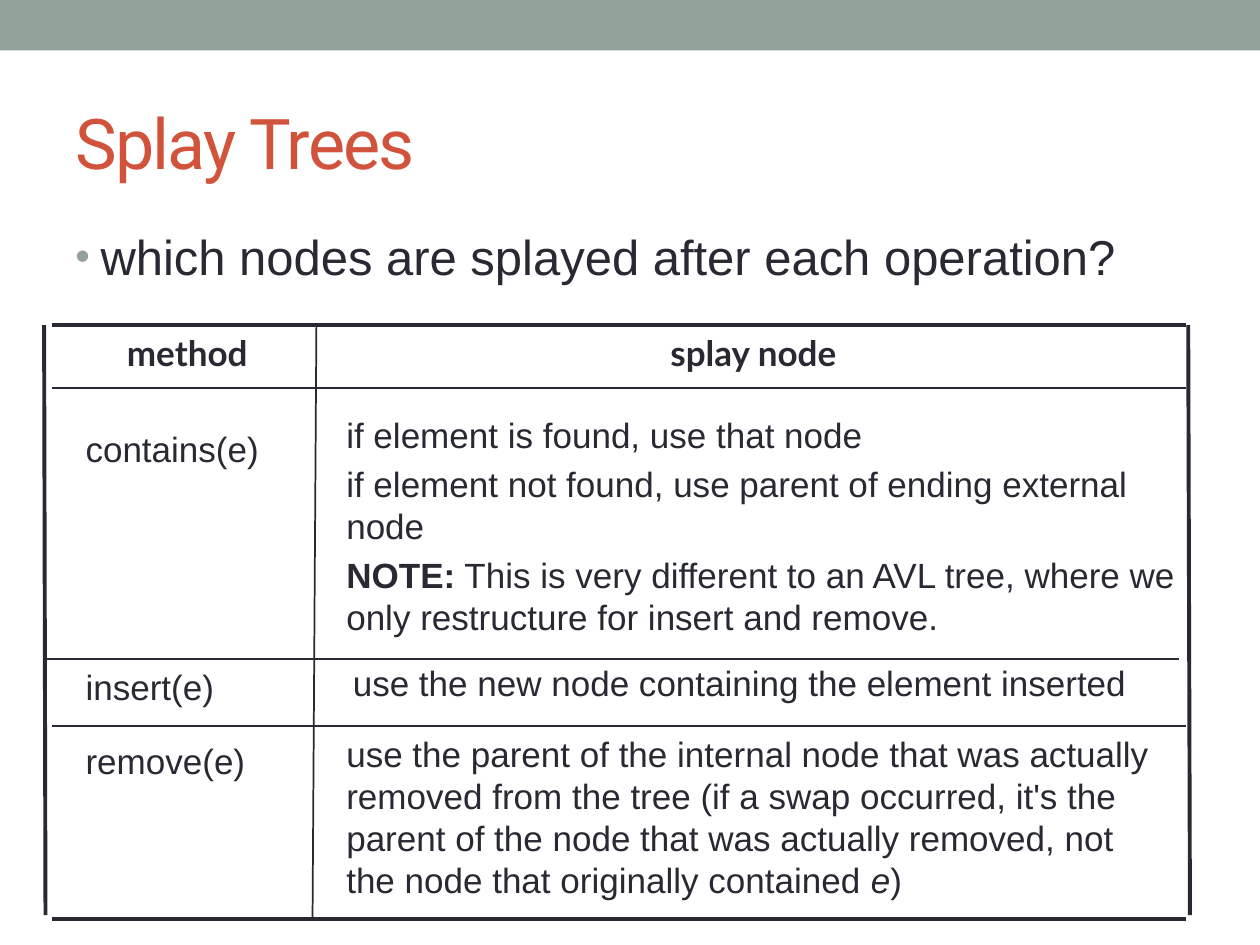
from lxml import etree
from pptx import Presentation
from pptx.dml.color import RGBColor
from pptx.enum import shapes, text
from pptx.oxml.ns import qn
from pptx.util import Pt

COLORS = {"ink": "292934", "sage": "93A299", "title": "D2533C"}
LEFT, CENTER = text.PP_ALIGN.LEFT, text.PP_ALIGN.CENTER

deck = Presentation()
deck.slide_width, deck.slide_height = Pt(720), Pt(540)
page = deck.slides.add_slide(deck.slide_layouts[6])


def add_text(left, top, width, height, paragraphs, size=20, font="Arial",
             color="ink", align=LEFT, anchor=text.MSO_ANCHOR.TOP):
    box = page.shapes.add_textbox(Pt(left), Pt(top), Pt(width), Pt(height))
    frame = box.text_frame
    frame.word_wrap = True
    frame.vertical_anchor = anchor
    for index, pieces in enumerate(paragraphs):
        para = frame.add_paragraph() if index else frame.paragraphs[0]
        para.alignment = align
        para.space_before = Pt(size * 0.2 if index else 0)
        for words, style in pieces:
            span = para.add_run()
            span.text = words
            span.font.name = font
            span.font.size = Pt(size)
            span.font.bold = style == "bold"
            span.font.italic = style == "italic"
            span.font.color.rgb = RGBColor.from_string(COLORS[color])
    return box


banner = page.shapes.add_shape(shapes.MSO_SHAPE.RECTANGLE, 0, 0, Pt(720), Pt(28.8))
banner.shadow.inherit = False
banner.fill.solid()
banner.fill.fore_color.rgb = RGBColor.from_string(COLORS["sage"])
banner.line.fill.background()

title = add_text(36, 42, 648, 78, [[("Splay Trees", "")]], 40, "Roboto", "title",
                 anchor=text.MSO_ANCHOR.MIDDLE)
title.text_frame.paragraphs[0].runs[0].font._element.set("spc", "-100")

question = add_text(36, 126, 648, 48,
                    [[("which nodes are splayed after each operation?", "")]], 28)
props = question.text_frame.paragraphs[0]._p.get_or_add_pPr()
props.set("marL", str(Pt(14.4)))
props.set("indent", str(-Pt(14.4)))
bullet_color = etree.SubElement(props, qn("a:buClr"))
etree.SubElement(bullet_color, qn("a:srgbClr"), val=COLORS["sage"])
etree.SubElement(props, qn("a:buSzPct"), val="85000")
etree.SubElement(props, qn("a:buFont"), typeface="Arial")
etree.SubElement(props, qn("a:buChar"), char="•")

for left, width, heading in [(30.5, 153, "method"), (183, 495, "splay node")]:
    add_text(left, 185.8, width, 23, [[(heading, "bold")]], font="Lato", align=CENTER)

for top, method in [(241, "contains(e)"), (376.8, "insert(e)"), (419, "remove(e)")]:
    add_text(41.8, top, 153, 30, [[(method, "")]])

contains_rule = [
    [("if element is found, use that node", "")],
    [("if element not found, use parent of ending external node", "")],
    [("NOTE:", "bold"),
     (" This is very different to an AVL tree, where we only restructure "
      "for insert and remove.", "")],
]
insert_rule = [[("use the new node containing the element inserted", "")]]
remove_rule = [[
    ("use the parent of the internal node that was actually removed from the tree "
     "(if a swap occurred, it's the parent of the node that was actually removed, "
     "not the node that originally contained ", ""),
    ("e", "italic"),
    (")", ""),
]]
for left, top, width, height, rule in [
    (190.8, 232.8, 495, 130, contains_rule),
    (194.5, 374.2, 470, 36, insert_rule),
    (190.8, 415, 478, 104, remove_rule),
]:
    add_text(left, top, width, height, rule)

for x1, y1, x2, y2, weight in [
    (30, 185.8, 678, 185.8, 2.25),
    (30, 221.8, 678, 221.8, 1),
    (26, 376.5, 674, 376.5, 1),
    (30, 414.8, 678, 414.8, 1),
    (30, 525, 678, 525, 2.25),
    (25.2, 185.8, 26, 523, 2.25),
    (180.8, 185.8, 178.6, 526, 1),
    (679, 185.8, 680, 523, 2.25),
]:
    rule_line = page.shapes.add_connector(
        shapes.MSO_CONNECTOR.STRAIGHT, Pt(x1), Pt(y1), Pt(x2), Pt(y2))
    rule_line.line.width = Pt(weight)
    rule_line.line.color.rgb = RGBColor.from_string(COLORS["ink"])
    etree.SubElement(rule_line._element.spPr, qn("a:effectLst"))

deck.save("out.pptx")
